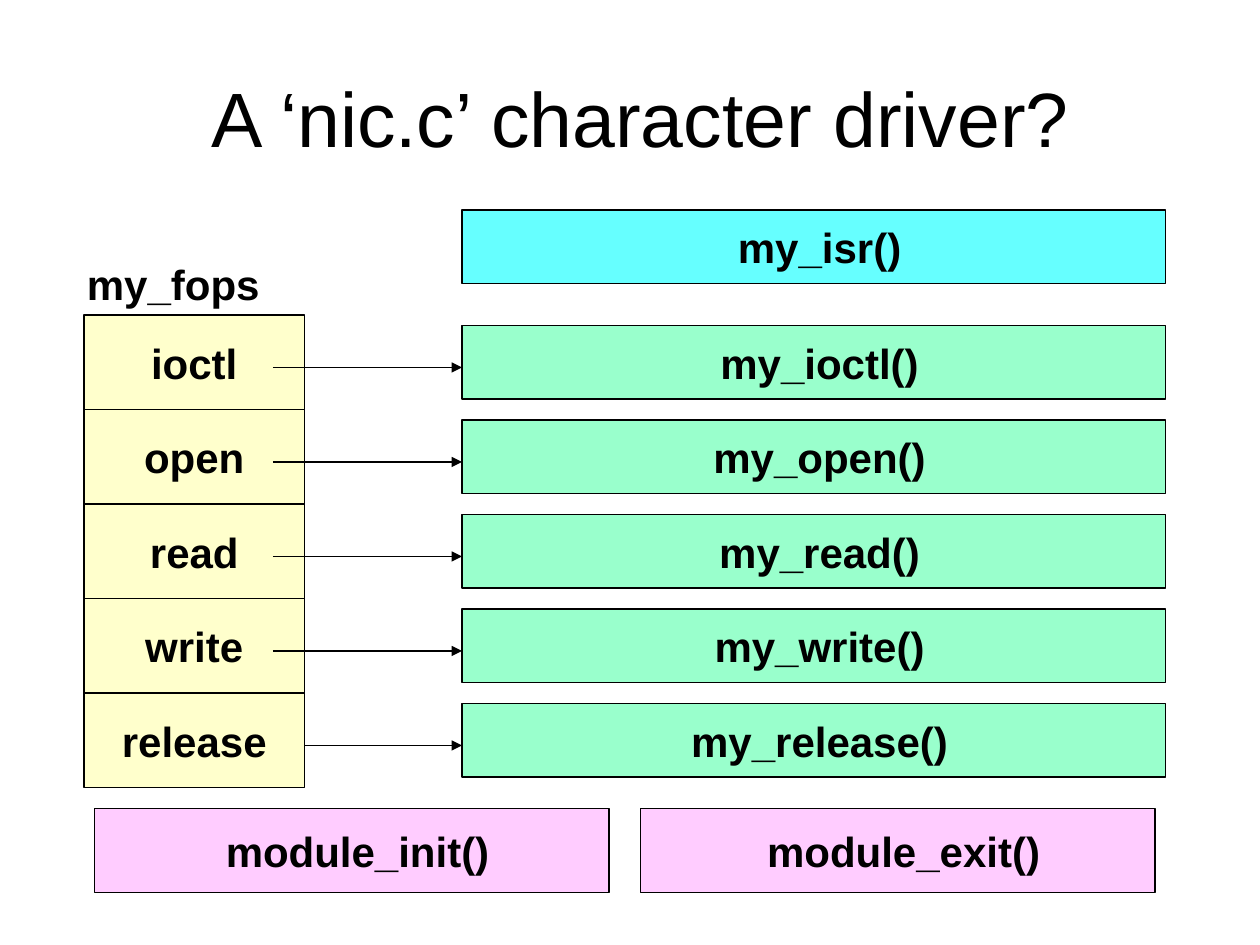
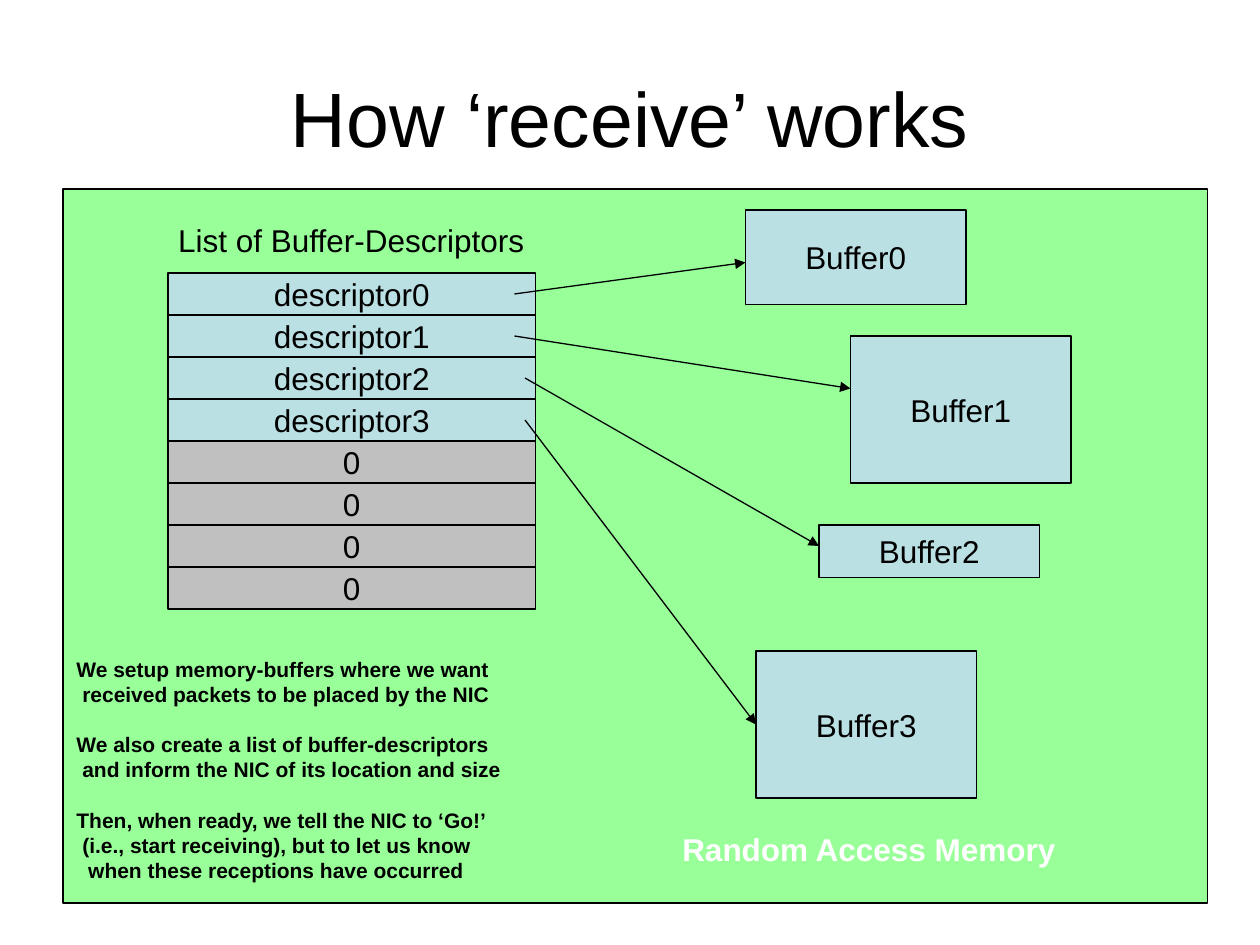
"""Build two slides on a network driver: its entry points and how it receives packets."""
from dataclasses import dataclass

from lxml.etree import SubElement
from pptx import Presentation
from pptx.dml.color import RGBColor
from pptx.enum.shapes import MSO_CONNECTOR as Connector, MSO_SHAPE as Shape
from pptx.enum.text import MSO_ANCHOR as Anchor, PP_ALIGN as Align
from pptx.oxml.ns import qn
from pptx.util import Inches, Pt


@dataclass(frozen=True)
class Theme:
    font: str = "Arial"
    ink: str = "000000"
    white: str = "FFFFFF"
    table: str = "FFFFCC"
    method: str = "99FFCC"
    interrupt: str = "66FFFF"
    module: str = "FFCCFF"
    memory: str = "99FF99"
    in_use: str = "BBE0E3"
    unused: str = "C0C0C0"
    title: int = 44
    code: int = 24
    label: int = 18
    note: int = 12
    leading: float = 14.4
    space: float = 0.28
    line: float = 0.75


theme = Theme()
deck = Presentation()
deck.slide_width, deck.slide_height = Inches(10), Inches(7.5)
COLUMNS, ROWS = 120, 90
column, row = deck.slide_width / COLUMNS, deck.slide_height / ROWS


def add_box(page, place, lines=(), fill=None, size=theme.label, bold=False,
            color=theme.ink, align=Align.CENTER, anchor=Anchor.MIDDLE):
    """Add a box at grid cells; each line is a text and its indent in spaces."""
    left, top, width, height = place
    cells = [round(n) for n in (left * column, top * row, width * column, height * row)]
    if fill:
        box = page.shapes.add_shape(Shape.RECTANGLE, *cells)
        box.shadow.inherit = False
        box.fill.solid()
        box.fill.fore_color.rgb = RGBColor.from_string(fill)
        box.line.color.rgb = RGBColor.from_string(theme.ink)
        box.line.width = Pt(theme.line)
    else:
        box = page.shapes.add_textbox(*cells)
    frame = box.text_frame
    frame.word_wrap, frame.vertical_anchor = True, anchor
    for number, (text, indent) in enumerate(lines):
        para = frame.add_paragraph() if number else frame.paragraphs[0]
        para.alignment = align
        if indent:
            para._p.get_or_add_pPr().set("marL", str(Pt(indent * theme.space * size)))
        span = para.add_run()
        span.text = text
        for name, value in {"name": theme.font, "size": Pt(size), "bold": bold}.items():
            setattr(span.font, name, value)
        span.font.color.rgb = RGBColor.from_string(color)
    return box


def add_arrow(page, start, end):
    """Add a straight arrow between two grid points."""
    (x1, y1), (x2, y2) = start, end
    arrow = page.shapes.add_connector(Connector.STRAIGHT, *[
        round(n) for n in (x1 * column, y1 * row, x2 * column, y2 * row)])
    arrow.line.color.rgb = RGBColor.from_string(theme.ink)
    arrow.line.width = Pt(theme.line)
    SubElement(arrow.line._get_or_add_ln(), qn("a:tailEnd"), type="triangle")
    SubElement(arrow._element.spPr, qn("a:effectLst"))
    return arrow


pages = []
for title, indent in [("A ‘nic.c’ character driver?", 1), ("How ‘receive’ works", 0)]:
    page = deck.slides.add_slide(deck.slide_layouts[6])
    if pages:
        add_box(page, (6, 18, 109, 68), fill=theme.memory)
    add_box(page, (6, 3.6, 108, 15), [(title, indent)], size=theme.title)
    pages.append(page)
driver, receive = pages

code = {"size": theme.code, "bold": True}
corner = {"align": Align.LEFT, "anchor": Anchor.TOP}

add_box(driver, (7.1, 24, 19, 6), [("my_fops", 0)], **code, **corner)
add_box(driver, (44, 20, 67, 7), [("my_isr()", 1)], theme.interrupt, **code)
operations = ["ioctl", "open", "read", "write", "release"]
for number, operation in enumerate(operations):
    top = 30 + 9 * number
    entry = (8, top, 21, 9), [(operation, 0)], theme.table
    covers_arrow = operation == operations[-1]
    if not covers_arrow:
        add_box(driver, *entry, **code)
    add_box(driver, (44, top + 1, 67, 7), [(f"my_{operation}()", 1)], theme.method, **code)
    add_arrow(driver, (26, top + 5), (44, top + 5))
    if covers_arrow:
        add_box(driver, *entry, **code)
for number, name in enumerate(["module_init()", "module_exit()"]):
    add_box(driver, (9 + 52 * number, 77, 49, 8), [(name, 1)], theme.module, **code)

add_box(receive, (15.8, 20.5, 36, 4.8), [("List of Buffer-Descriptors", 0)], **corner)
buffers = [
    ((71, 20, 21, 9), 49, 25),
    ((81, 32, 21, 14), 49, 37),
    ((78, 50, 21, 5), 50, 52),
    ((72, 62, 21, 14), 50, 69),
]
for number in range(8):
    used = number < len(buffers)
    add_box(receive, (16, 26 + 4 * number, 35, 4),
            [(f"descriptor{number}" if used else "0", 0)],
            theme.in_use if used else theme.unused)
for number, (place, start, end) in enumerate(buffers):
    left, top, width, height = place
    box = add_box(receive, place, [(f"Buffer{number}", 0)], theme.in_use)
    arrow = add_arrow(receive, (start, 28 + 4 * number), (left, end))
    if end == top + height / 2:
        arrow.end_connect(box, 1)

notes = [
    ("We setup memory-buffers where we want", 0),
    ("received packets to be placed by the NIC", 1),
    ("We also create a list of buffer-descriptors", 0),
    ("and inform the NIC of its location and size", 1),
    ("Then, when ready, we tell the NIC to ‘Go!’", 0),
    ("(i.e., start receiving), but to let us know", 1),
    ("when these receptions have occurred", 2),
]
box = add_box(receive, (6.1, 61.9, 45, 22.8), notes, size=theme.note, bold=True, **corner)
for number, para in enumerate(box.text_frame.paragraphs):
    starts_block = number and not notes[number][1]
    para.line_spacing = Pt(theme.leading)
    para.space_before = Pt(theme.leading if starts_block else 0)
add_box(receive, (63.8, 78.5, 39, 4.8), [("Random Access Memory", 0)],
        bold=True, color=theme.white, **corner)

deck.save("out.pptx")
